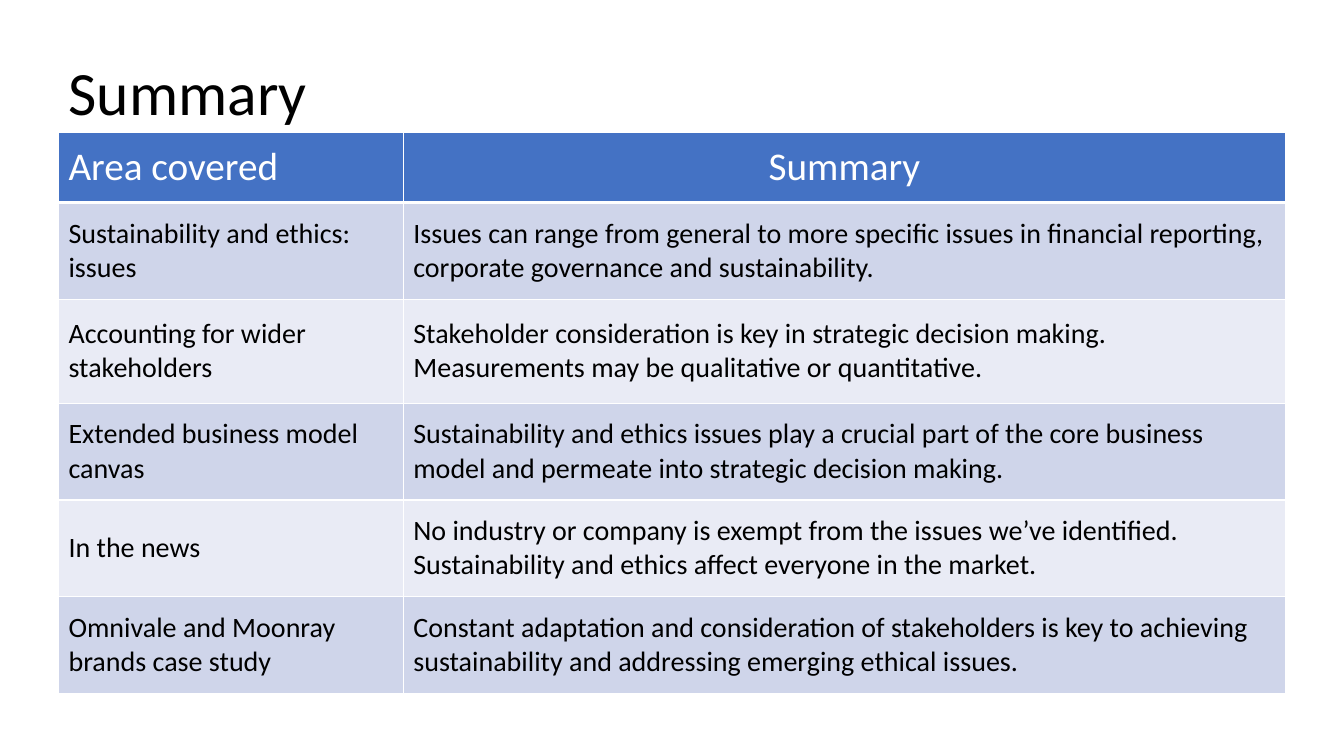
from lxml import etree
from pptx import Presentation
from pptx.dml.color import RGBColor
from pptx.enum.text import MSO_ANCHOR, PP_ALIGN
from pptx.oxml.ns import qn
from pptx.util import Inches, Pt

MIDDLE = MSO_ANCHOR.MIDDLE
LEFT, CENTER = PP_ALIGN.LEFT, PP_ALIGN.CENTER
FONT = "Calibri"
COLORS = {
    "text": "000000",
    "header_text": "FFFFFF",
    "header": "4472C4",
    "odd_row": "CFD5EA",
    "even_row": "E9EBF5",
    "border": "FFFFFF",
}
COLUMN_WIDTHS = [3.42, 8.75]
ROW_HEIGHTS = [0.7, 0.96, 1.03, 0.96, 0.96, 0.96]
SUMMARY_ROWS = [
    ("Area covered", "Summary"),
    ("Sustainability and ethics: issues",
     "Issues can range from general to more specific issues in financial reporting, "
     "corporate governance and sustainability."),
    ("Accounting for wider stakeholders",
     "Stakeholder consideration is key in strategic decision making.\n"
     "Measurements may be qualitative or quantitative."),
    ("Extended business model canvas",
     "Sustainability and ethics issues play a crucial part of the core business "
     "model and permeate into strategic decision making."),
    ("In the news",
     "No industry or company is exempt from the issues we’ve identified. "
     "Sustainability and ethics affect everyone in the market."),
    ("Omnivale and Moonray brands case study",
     "Constant adaptation and consideration of stakeholders is key to achieving "
     "sustainability and addressing emerging ethical issues."),
]


def rgb(name):
    return RGBColor.from_string(COLORS[name])


def format_text(frame, size, color, align):
    for paragraph in frame.paragraphs:
        paragraph.alignment = align
        for run in paragraph.runs:
            run.font.name = FONT
            run.font.size = Pt(size)
            run.font.bold = False
            run.font.color.rgb = rgb(color)


def add_title(slide, text):
    title = slide.shapes.title
    title.left, title.top = Inches(0.58), Inches(0.22)
    title.width, title.height = Inches(8.12), Inches(1.45)
    frame = title.text_frame
    frame.text = text
    frame.word_wrap = True
    frame.vertical_anchor = MIDDLE
    frame.paragraphs[0].line_spacing = 0.9
    format_text(frame, 44, "text", LEFT)


def set_borders(cell, row):
    widths = {
        "a:lnL": 1,
        "a:lnR": 1,
        "a:lnT": 3 if row == 1 else 1,
        "a:lnB": 3 if row == 0 else 1,
    }
    properties = cell._tc.get_or_add_tcPr()
    for side, width in widths.items():
        line = etree.SubElement(properties, qn(side), w=str(Pt(width)))
        fill = etree.SubElement(line, qn("a:solidFill"))
        etree.SubElement(fill, qn("a:srgbClr"), val=COLORS["border"])


def fill_cell(cell, text, row, column):
    is_header = row == 0
    band = "header" if is_header else "odd_row" if row % 2 else "even_row"
    cell.text_frame.text = text
    cell.vertical_anchor = MIDDLE
    set_borders(cell, row)
    cell.fill.solid()
    cell.fill.fore_color.rgb = rgb(band)
    format_text(
        cell.text_frame,
        28 if is_header else 20,
        "header_text" if is_header else "text",
        CENTER if is_header and column == 1 else LEFT,
    )


def add_summary_table(slide):
    table = slide.shapes.add_table(
        len(SUMMARY_ROWS), len(COLUMN_WIDTHS), Inches(0.58), Inches(1.31),
        Inches(sum(COLUMN_WIDTHS)), Inches(sum(ROW_HEIGHTS)),
    ).table
    for column, width in zip(table.columns, COLUMN_WIDTHS):
        column.width = Inches(width)
    for row, height in zip(table.rows, ROW_HEIGHTS):
        row.height = Inches(height)
    for row, texts in enumerate(SUMMARY_ROWS):
        for column, text in enumerate(texts):
            fill_cell(table.cell(row, column), text, row, column)


def main():
    deck = Presentation()
    deck.slide_width, deck.slide_height = Inches(13.33), Inches(7.5)
    slide = deck.slides.add_slide(deck.slide_layouts[5])
    add_title(slide, "Summary")
    add_summary_table(slide)
    deck.save("out.pptx")


if __name__ == "__main__":
    main()
